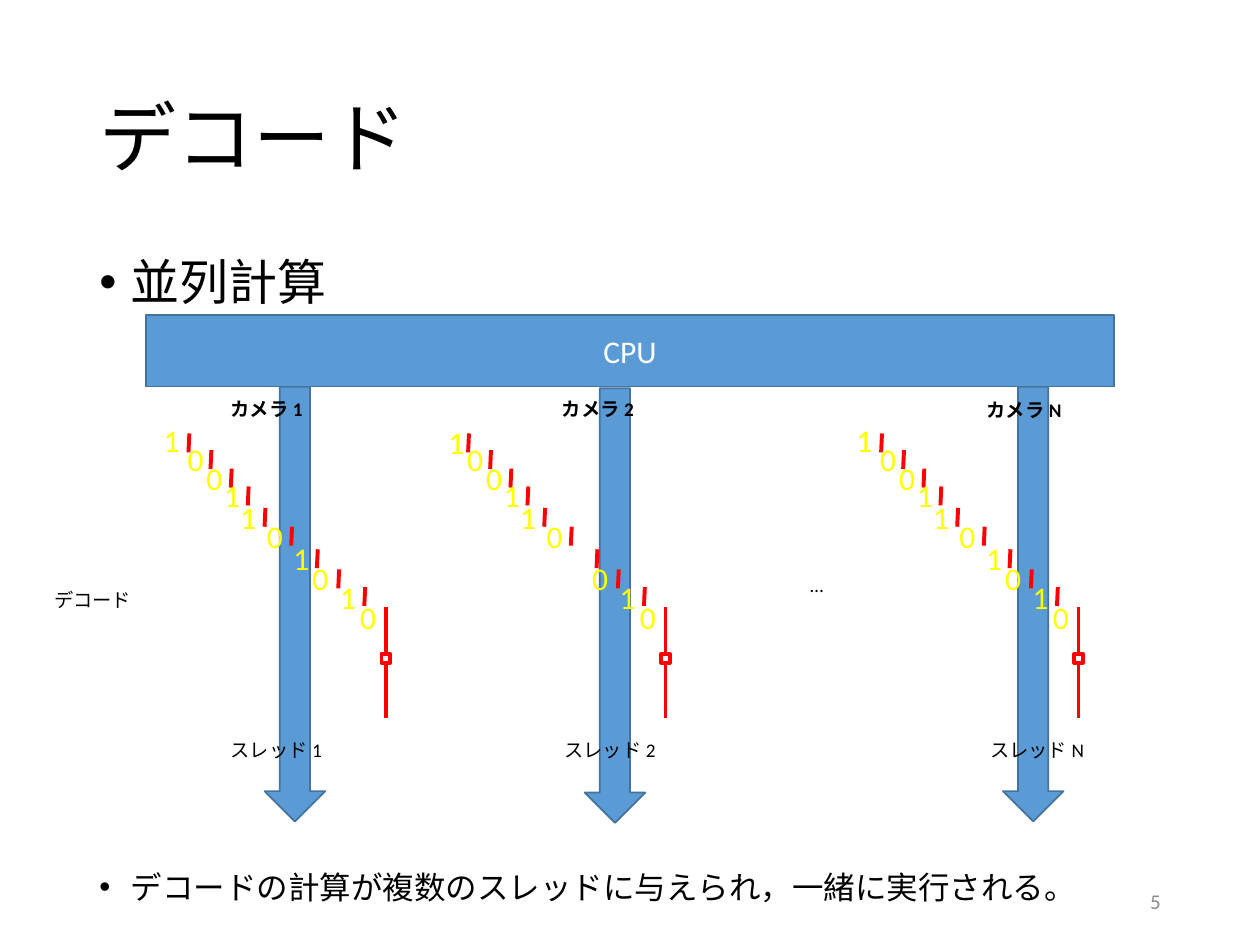
import pptx
import pptx.dml.color
import pptx.enum.shapes
import pptx.enum.text
import pptx.oxml.ns
import pptx.util
from lxml import etree

Pt = pptx.util.Pt
MSO = pptx.enum.shapes.MSO_SHAPE
ALIGN = pptx.enum.text.PP_ALIGN
ANCHOR = pptx.enum.text.MSO_ANCHOR
qn = pptx.oxml.ns.qn


def rgb(color):
    return pptx.dml.color.RGBColor.from_string(color)


def text(sp, words, size=11, color="000000", bold=False, align=ALIGN.LEFT,
         anchor=ANCHOR.TOP, spacing=1.0, bullet=False):
    tf = sp.text_frame
    tf.word_wrap = True
    tf.vertical_anchor = anchor
    p = tf.paragraphs[0]
    p.alignment = align
    p.line_spacing = spacing
    if bullet:
        pPr = p._p.get_or_add_pPr()
        pPr.set("marL", str(Pt(18)))
        pPr.set("indent", str(Pt(-18)))
        etree.SubElement(pPr, qn("a:buFont")).set("typeface", "Arial")
        etree.SubElement(pPr, qn("a:buChar")).set("char", "•")
    r = p.add_run()
    r.text = words
    r.font.name = "Calibri"
    r.font.size = Pt(size)
    r.font.bold = bold
    r.font.color.rgb = rgb(color)


BLUE, DARK_BLUE, RED, YELLOW = "5B9BD5", "43739E", "FF0000", "FFFF00"

prs = pptx.Presentation()
prs.slide_width, prs.slide_height = Pt(720), Pt(540)
s = prs.slides.add_slide(prs.slide_layouts[6])

# name, stream offset, first-digit nudge, bits, arrow x, camera label x/y, thread label x
cameras = [
    ("1", 0, (0, 0), "1001101010", 151.2, 124.6, 223.2, 124.6),
    ("2", 159.8, (2.9, 1.4), "100110 010", 334.1, 313.9, 223.2, 315.4),
    ("N", 395.8, (0, 0), "1001101010", 573.1, 556.6, 223.9, 558.7),
]
digit_spots = [(86.4, 236.9), (100.1, 247.7), (110.9, 258.5), (121, 268.6),
               (130.3, 280.8), (145.4, 291.6), (160.6, 304.6), (171.4, 316.1),
               (187.2, 326.9), (198.7, 338.4)]
ticks = [(108.2, 247.7), (120.8, 257.2), (132.4, 267.8), (142.1, 278),
         (151.7, 290.2), (166.9, 301), (181.6, 313.9), (193.8, 325.4),
         (208.7, 335.5)]

# Thread arrows
for name, dx, nudge, bits, arrow_x, *labels in cameras:
    top = 221.8 if name == "2" else 221
    sp = s.shapes.add_shape(MSO.DOWN_ARROW, Pt(arrow_x), Pt(top), Pt(34.6), Pt(248.4))
    sp.shadow.inherit = False
    sp.fill.solid()
    sp.fill.fore_color.rgb = rgb(BLUE)
    sp.line.color.rgb = rgb(DARK_BLUE)
    sp.line.width = Pt(1)

# Bit streams
for name, dx, nudge, bits, *labels in cameras:
    sp = s.shapes.add_shape(MSO.RECTANGLE, Pt(218 + dx), Pt(373.7), Pt(5), Pt(5))
    sp.shadow.inherit = False
    sp.fill.background()
    sp.line.color.rgb = rgb(RED)
    sp.line.width = Pt(2.25)

    segments = [(x, y, x - 0.5, y + 10.8) for x, y in ticks]
    segments += [(220.5, 347, 220.5, 373.7), (220.5, 379.2, 220.5, 410.4)]
    for x1, y1, x2, y2 in segments:
        line = s.shapes.add_connector(pptx.enum.shapes.MSO_CONNECTOR.STRAIGHT,
                                      Pt(x1 + dx), Pt(y1), Pt(x2 + dx), Pt(y2))
        line.line.color.rgb = rgb(RED)
        line.line.width = Pt(2.25)
        etree.SubElement(line._element.spPr, qn("a:effectLst"))

    for i, (bit, (x, y)) in enumerate(zip(bits, digit_spots)):
        if bit == " ":
            continue
        if i == 0:
            x, y = x + nudge[0], y + nudge[1]
        sp = s.shapes.add_textbox(Pt(x + dx), Pt(y), Pt(22.3), Pt(29))
        text(sp, bit, size=18, color=YELLOW)

# CPU bar
sp = s.shapes.add_shape(MSO.RECTANGLE, Pt(83.5), Pt(180), Pt(553), Pt(41))
sp.shadow.inherit = False
sp.fill.solid()
sp.fill.fore_color.rgb = rgb(BLUE)
sp.line.color.rgb = rgb(DARK_BLUE)
sp.line.width = Pt(1)
text(sp, "CPU", size=18, color="FFFFFF", align=ALIGN.CENTER, anchor=ANCHOR.MIDDLE)

# Title, bullets, page number and labels
captions = [
    ("デコード", 49.7, 28.8, 620.6, 104.4,
     dict(size=44, anchor=ANCHOR.MIDDLE, spacing=0.9)),
    ("並列計算", 49.7, 144, 620.6, 36, dict(size=28, spacing=0.9, bullet=True)),
    ("デコードの計算が複数のスレッドに与えられ，一緒に実行される。",
     49.7, 494.7, 620.6, 32, dict(size=18, spacing=0.9, bullet=True)),
    ("5", 508.3, 500.4, 162, 28.8,
     dict(size=12, color="8C8C8C", align=ALIGN.RIGHT, anchor=ANCHOR.MIDDLE)),
    ("デコード", 23.8, 332.6, 75.6, 20.9, {}),
    ("…", 455.8, 324, 27.4, 20.9, {}),
]
for name, dx, nudge, bits, arrow_x, camera_x, camera_y, thread_x in cameras:
    captions.append((f"カメラ {name}", camera_x, camera_y, 75.6, 20.9, dict(bold=True)))
    captions.append((f"スレッド {name}", thread_x, 418.3, 75.6, 20.9, {}))
for words, x, y, w, h, style in captions:
    text(s.shapes.add_textbox(Pt(x), Pt(y), Pt(w), Pt(h)), words, **style)

prs.save("out.pptx")
